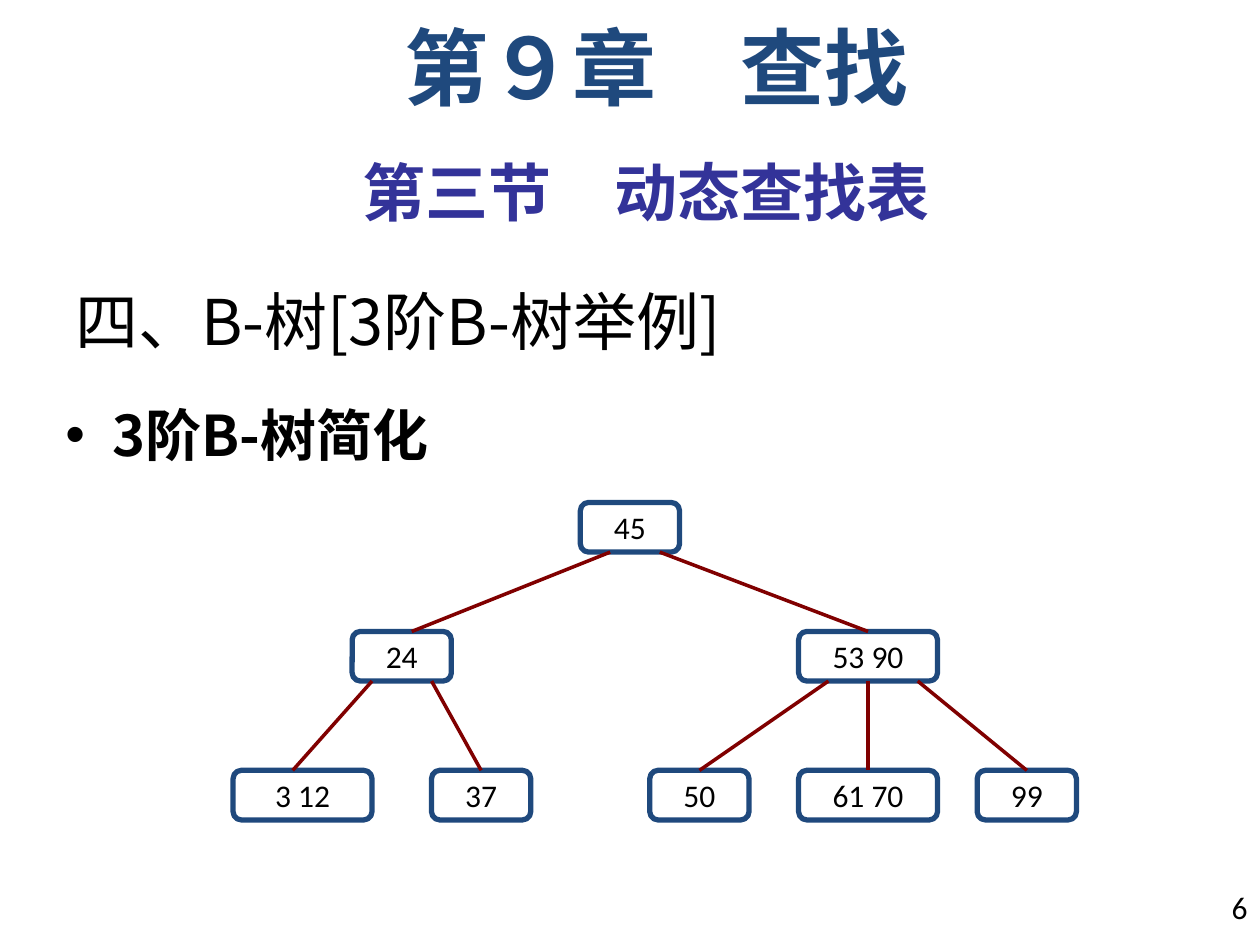
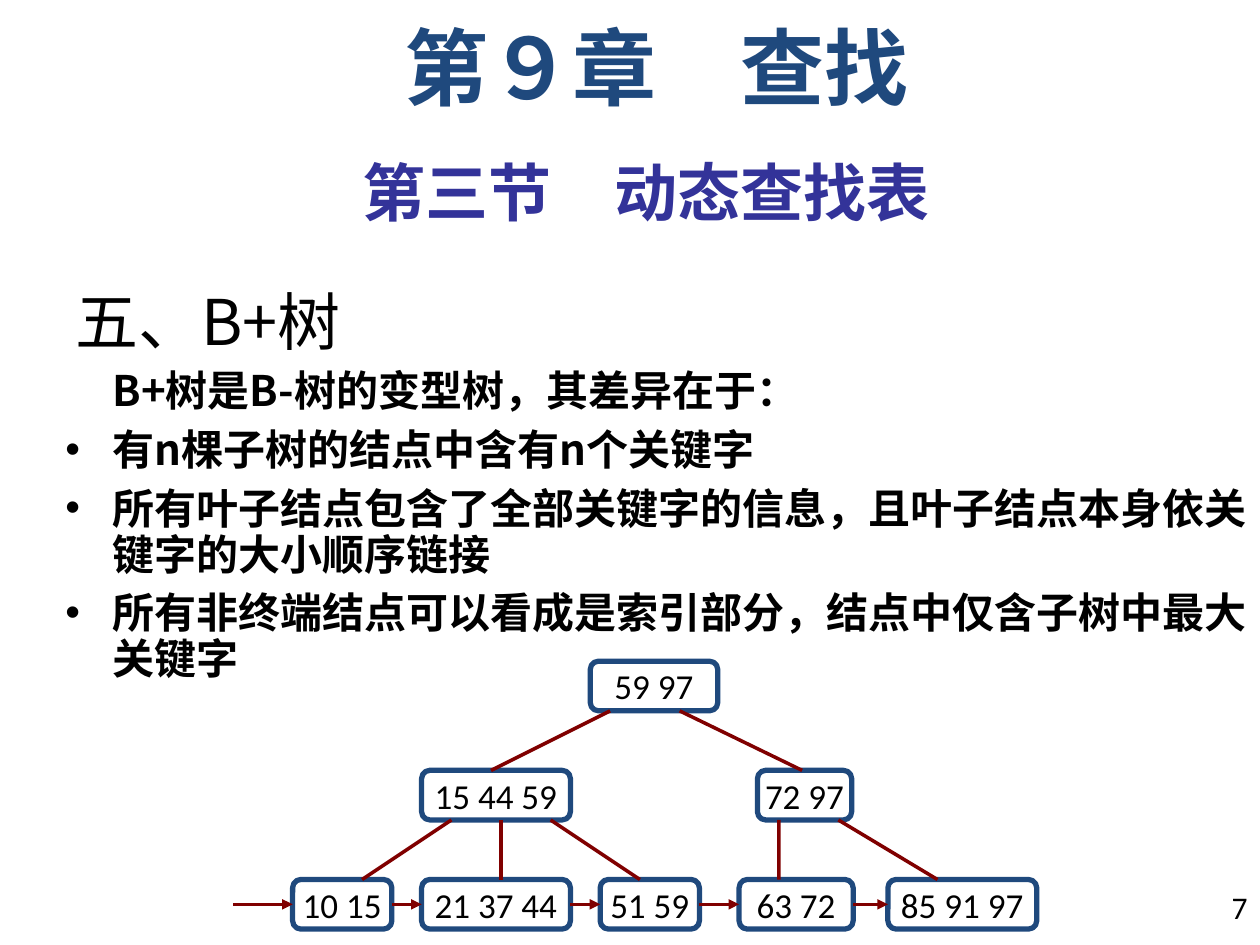
from dataclasses import dataclass
from itertools import pairwise

from lxml.etree import SubElement
from pptx import Presentation
from pptx.dml.color import RGBColor
from pptx.enum.shapes import MSO_CONNECTOR, MSO_SHAPE
from pptx.enum.text import MSO_ANCHOR, PP_ALIGN
from pptx.oxml.ns import qn
from pptx.util import Cm, Pt


@dataclass(frozen=True)
class Theme:
    navy: RGBColor = RGBColor(0x1F, 0x49, 0x7D)
    violet: RGBColor = RGBColor(0x33, 0x33, 0x99)
    maroon: RGBColor = RGBColor(0x80, 0x00, 0x00)
    black: RGBColor = RGBColor(0x00, 0x00, 0x00)
    chapter_font: str = "Times New Roman"
    plain_font: str = "Calibri"
    heading_font: str = "Noto Sans CJK SC"
    chapter_size: int = 48
    heading_size: int = 36
    number_size: int = 18


@dataclass(frozen=True)
class Node:
    keys: str
    left: float
    level: int
    width: float = 2.0


@dataclass(frozen=True)
class Edge:
    parent: int
    leave: float
    child: int
    enter: float


@dataclass(frozen=True)
class Tree:
    left: float
    top: float
    levels: tuple
    key_size: int
    nodes: tuple
    edges: tuple
    chained: bool = False


THEME = Theme()
NODE_HEIGHT = 1.0
HANGING = Cm(0.95)

B_MINUS_TREE = Tree(
    left=4.7, top=10.13, levels=(0, 2.6, 5.4), key_size=18,
    nodes=(
        Node("45", 7.0, 0),
        Node("24", 2.4, 1),
        Node("53 90", 11.4, 1, 2.8),
        Node("3 12", 0, 2, 2.8),
        Node("37", 4.0, 2),
        Node("50", 8.4, 2),
        Node("61 70", 11.4, 2, 2.8),
        Node("99", 15.0, 2),
    ),
    edges=(
        Edge(0, 0.6, 1, 1.2), Edge(0, 1.6, 2, 1.4),
        Edge(1, 0.4, 3, 1.2), Edge(1, 1.6, 4, 1.0),
        Edge(2, 0.6, 5, 1.0), Edge(2, 1.4, 6, 1.4), Edge(2, 2.4, 7, 1.0),
    ),
)

B_PLUS_TREE = Tree(
    left=4.7, top=13.33, levels=(0, 2.2, 4.4), key_size=20,
    nodes=(
        Node("59 97", 7.2, 0, 2.57),
        Node("15 44 59", 3.8, 1, 3.0),
        Node("72 97", 10.57, 1, 1.9),
        Node("10 15", 1.2, 2),
        Node("21 37 44", 3.8, 2, 3.0),
        Node("51 59", 7.4, 2),
        Node("63 72", 10.2, 2, 2.3),
        Node("85 91 97", 13.2, 2, 3.0),
    ),
    edges=(
        Edge(0, 0.4, 1, 1.4), Edge(0, 1.8, 2, 0.9),
        Edge(1, 0.6, 3, 1.4), Edge(1, 1.6, 4, 1.6), Edge(1, 2.6, 5, 0.8),
        Edge(2, 0.43, 6, 0.8), Edge(2, 1.63, 7, 1.0),
    ),
    chained=True,
)


def style_paragraph(paragraph, text, size, font_name, color, bold=False, alignment=PP_ALIGN.LEFT):
    paragraph.text = text
    paragraph.alignment = alignment
    paragraph.font.size = Pt(size)
    paragraph.font.name = font_name
    paragraph.font.color.rgb = color
    paragraph.font.bold = bold


def add_text_frame(slide, left, top, width, height):
    text_frame = slide.shapes.add_textbox(Cm(left), Cm(top), Cm(width), Cm(height)).text_frame
    text_frame.word_wrap = True
    return text_frame


def add_header(slide, heading):
    chapter = add_text_frame(slide, 1.7, 0.42, 23.07, 2.12).paragraphs[0]
    style_paragraph(chapter, "第９章　查找", THEME.chapter_size, THEME.chapter_font,
                    THEME.navy, True, PP_ALIGN.CENTER)
    chapter.line_spacing = 0.9
    section = add_text_frame(slide, 1.27, 2.97, 23.5, 1.78).paragraphs[0]
    style_paragraph(section, "第三节　动态查找表", THEME.heading_size, THEME.plain_font,
                    THEME.violet, True, PP_ALIGN.CENTER)
    heading_frame = add_text_frame(slide, 1.27, 5.5, 17.35, 1.9)
    heading_frame.vertical_anchor = MSO_ANCHOR.MIDDLE
    style_paragraph(heading_frame.paragraphs[0], heading, THEME.heading_size,
                    THEME.heading_font, THEME.black)


def add_page_number(slide, number):
    paragraph = add_text_frame(slide, 23.7, 17.78, 1.7, 1.27).paragraphs[0]
    style_paragraph(paragraph, str(number), THEME.number_size, THEME.plain_font,
                    THEME.black, alignment=PP_ALIGN.RIGHT)


def add_body(slide, top, height, size, line_height, points, lead=None):
    text_frame = add_text_frame(slide, 1.07, top, 24.33, height)
    lines = ([lead] if lead else []) + points
    for index, line in enumerate(lines):
        paragraph = text_frame.add_paragraph() if index else text_frame.paragraphs[0]
        style_paragraph(paragraph, line, size, THEME.heading_font, THEME.black, True)
        paragraph.line_spacing = Pt(line_height)
        if index:
            paragraph.space_before = Pt(size * 0.3)
        properties = paragraph._p.get_or_add_pPr()
        properties.set("marL", str(HANGING))
        if line != lead:
            properties.set("indent", str(-HANGING))
            SubElement(properties, qn("a:buFont")).set("typeface", "Arial")
            bullet = SubElement(properties, qn("a:buChar"))
            bullet.set("char", "•")
            properties.append(properties.find(qn("a:defRPr")))


def add_node(slide, tree, node):
    shape = slide.shapes.add_shape(
        MSO_SHAPE.ROUNDED_RECTANGLE, Cm(tree.left + node.left),
        Cm(tree.top + tree.levels[node.level]), Cm(node.width), Cm(NODE_HEIGHT))
    shape.shadow.inherit = False
    shape.fill.background()
    shape.line.color.rgb = THEME.navy
    shape.line.width = Pt(3)
    shape.text_frame.word_wrap = False
    shape.text_frame.vertical_anchor = MSO_ANCHOR.MIDDLE
    style_paragraph(shape.text_frame.paragraphs[0], node.keys, tree.key_size,
                    THEME.plain_font, THEME.black, alignment=PP_ALIGN.CENTER)
    return shape


def add_line(slide, start_x, start_y, end_x, end_y, arrow=False):
    connector = slide.shapes.add_connector(
        MSO_CONNECTOR.STRAIGHT, start_x, start_y, end_x, end_y)
    connector.line.color.rgb = THEME.maroon
    connector.line.width = Pt(2)
    if arrow:
        SubElement(connector.line._get_or_add_ln(), qn("a:tailEnd")).set("type", "triangle")
    SubElement(connector._element.spPr, qn("a:effectLst"))
    return connector


def add_edge(slide, tree, shapes, edge):
    parent, child = shapes[edge.parent], shapes[edge.child]
    connector = add_line(slide, parent.left + Cm(edge.leave), parent.top + parent.height,
                         child.left + Cm(edge.enter), child.top)
    if edge.leave * 2 == tree.nodes[edge.parent].width:
        connector.begin_connect(parent, 2)
    if edge.enter * 2 == tree.nodes[edge.child].width:
        connector.end_connect(child, 0)


def add_leaf_chain(slide, tree, leaves):
    first = leaves[0]
    middle = first.top + first.height // 2
    add_line(slide, Cm(tree.left), middle, first.left, middle, True).end_connect(first, 1)
    for leaf, following in pairwise(leaves):
        connector = add_line(slide, leaf.left + leaf.width, middle, following.left, middle, True)
        connector.begin_connect(leaf, 3)
        connector.end_connect(following, 1)


def add_tree(slide, tree):
    shapes = [add_node(slide, tree, node) for node in tree.nodes]
    for edge in tree.edges:
        add_edge(slide, tree, shapes, edge)
    if tree.chained:
        last_level = len(tree.levels) - 1
        leaves = [shape for shape, node in zip(shapes, tree.nodes) if node.level == last_level]
        add_leaf_chain(slide, tree, leaves)


def add_lesson_slide(presentation, heading, number, body, tree):
    slide = presentation.slides.add_slide(presentation.slide_layouts[6])
    add_header(slide, heading)
    add_body(slide, **body)
    add_page_number(slide, number)
    add_tree(slide, tree)


def main():
    presentation = Presentation()
    presentation.slide_width = Cm(25.4)
    presentation.slide_height = Cm(19.05)
    add_lesson_slide(
        presentation, "四、B-树[3阶B-树举例]", 6,
        dict(top=7.82, height=11.23, size=32, line_height=42, points=["3阶B-树简化"]),
        B_MINUS_TREE)
    add_lesson_slide(
        presentation, "五、B+树", 7,
        dict(top=7.32, height=11.73, size=24, line_height=26.3,
             lead="B+树是B-树的变型树，其差异在于：",
             points=[
                 "有n棵子树的结点中含有n个关键字",
                 "所有叶子结点包含了全部关键字的信息，且叶子结点本身依关键字的大小顺序链接",
                 "所有非终端结点可以看成是索引部分，结点中仅含子树中最大关键字",
             ]),
        B_PLUS_TREE)
    presentation.save("out.pptx")


if __name__ == "__main__":
    main()
